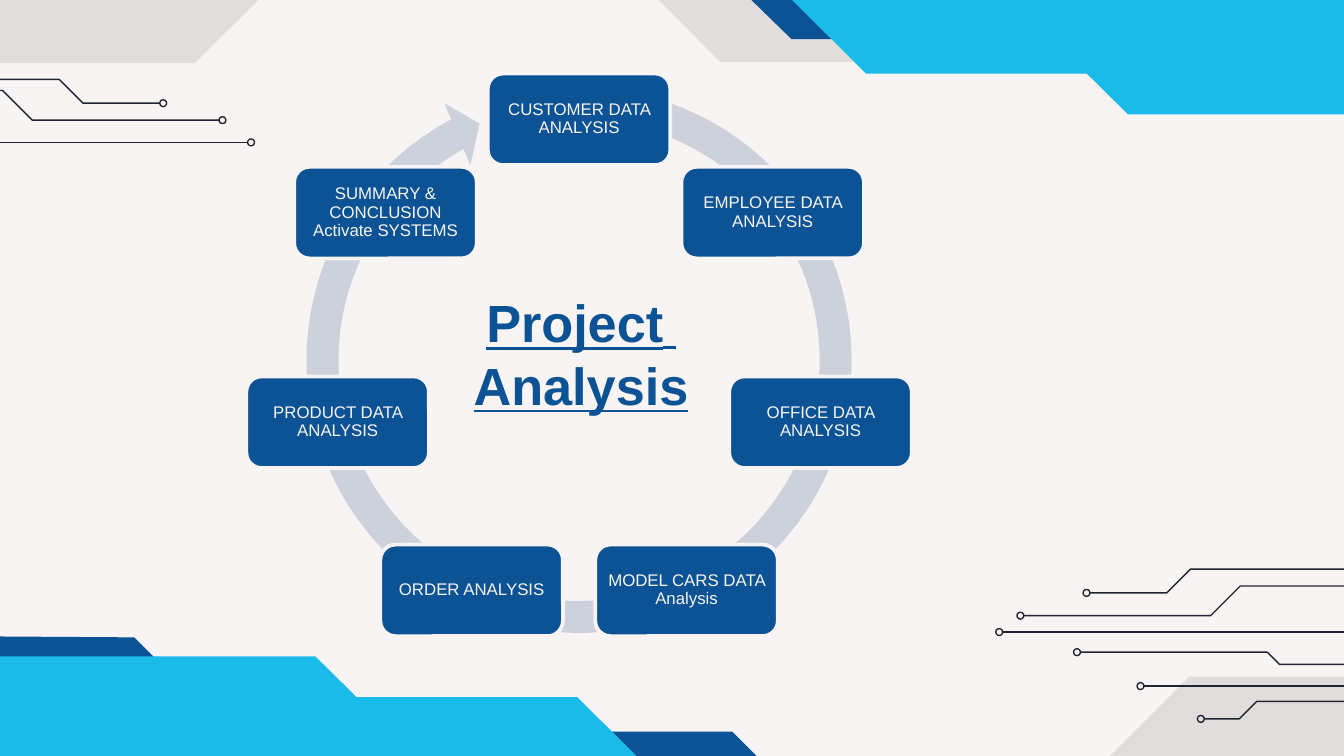
from math import cos, pi, sin

from lxml.etree import SubElement
from pptx import Presentation
from pptx.dml.color import RGBColor
from pptx.enum.shapes import MSO_CONNECTOR, MSO_SHAPE
from pptx.enum.text import MSO_ANCHOR, PP_ALIGN
from pptx.oxml.ns import qn
from pptx.util import Cm, Pt

PAPER = RGBColor(0xF8, 0xF4, 0xF4)
BLACK = RGBColor(0x00, 0x00, 0x00)
NAVY = RGBColor(0x0B, 0x53, 0x94)
CYAN = RGBColor(0x1B, 0xBB, 0xE9)
INK = RGBColor(0x20, 0x23, 0x31)
RING = RGBColor(0xCC, 0xD1, 0xDC)

WIDTH, HEIGHT = 25.4, 14.28
PAD = 0.13
FONT = "Arial"

GREY_BANDS = [
    [(3.68, 1.19), (6.55, -1.65), (10.8, -1.65), (13.61, 1.17),
     (24.03, 1.17), (24.03, -4.11), (-1.78, -4.11), (-1.78, 1.19)],
    [(27.15, 12.78), (27.15, 17.88), (17.37, 17.88), (22.48, 12.78)],
]
NAVY_BANDS = [
    [(14.35, 14.33), (13.84, 13.82), (11.56, 13.82), (12.07, 14.33)],
    [(18.16, 0.74), (17.4, 0), (14.2, 0), (14.96, 0.74)],
    [(-2.03, 12.01), (2.54, 12.04), (3.02, 12.52), (-2.03, 12.5)],
]
CYAN_STEPS = [(0, 0), (5.96, 0), (6.74, 0.77), (10.91, 0.77),
              (12.4, 2.25), (14.2, 2.25), (14.2, 8.39), (0, 8.39)]

LONG_BEND = (3.53, -0.56, 3.78)
SHORT_BEND = (1.45, -0.45, 4.72)
STRAIGHT = (8.25, 0, 0)
LEFT_TRACES = [(4.14, 0.77, LONG_BEND), (4.68, 1.19, STRAIGHT),
               (3.02, 0.45, SHORT_BEND)]
RIGHT_TRACES = [(2.82, 2.26, (4.24, 0, 0)), (3.96, 2.88, (0.66, -0.33, 3.23)),
                (1.62, 1.62, (3.53, 0.23, 4.65)), (0.55, 0.93, LONG_BEND),
                (1.8, 0.5, SHORT_BEND), (0.15, 1.24, STRAIGHT)]

STAGES = ["CUSTOMER DATA ANALYSIS", "EMPLOYEE DATA ANALYSIS",
          "OFFICE DATA ANALYSIS", "MODEL CARS DATA Analysis",
          "ORDER ANALYSIS", "PRODUCT DATA ANALYSIS",
          "SUMMARY & CONCLUSION Activate SYSTEMS"]


def outline(s, pts, close):
    pts = [(Cm(px), Cm(py)) for px, py in pts]
    fb = s.shapes.build_freeform(*pts[0])
    fb.add_line_segments(pts[1:], close=close)
    sp = fb.convert_to_shape()
    sp.shadow.inherit = False
    return sp


def band(s, pts, color, alpha=None):
    sp = outline(s, pts, True)
    sp.fill.solid()
    sp.fill.fore_color.rgb = color
    sp.line.fill.background()
    if alpha:
        clr = sp.fill._xPr.find(qn("a:solidFill"))[0]
        SubElement(clr, qn("a:alpha")).set("val", str(alpha * 1000))


def add_bands(s, x, y, w, h):
    for color, alpha, bands in [(BLACK, 9, GREY_BANDS), (NAVY, None, NAVY_BANDS)]:
        for pts in bands:
            band(s, [(x + px, y + py) for px, py in pts], color, alpha)
    for left, top, sign in [(x + w + 1.88, y + 2.16, -1), (x, y + h - 1.88, 1)]:
        band(s, [(left + sign * px, top + sign * py) for px, py in CYAN_STEPS], CYAN)


def ink_line(sp):
    sp.line.color.rgb = INK
    sp.line.width = Pt(0.75)


def add_circuit(s, x, y, traces, sign):
    for px, py, (run, rise, tail) in traces:
        px, py = x + px, y + py
        knee = px + sign * run
        if rise:
            bend = knee + sign * abs(rise)
            sp = outline(s, [(px, py), (knee, py), (bend, py + rise),
                             (bend + sign * tail, py + rise)], False)
            sp.fill.background()
        else:
            sp = s.shapes.add_connector(MSO_CONNECTOR.STRAIGHT, Cm(knee), Cm(py),
                                        Cm(px), Cm(py))
            SubElement(sp._element.spPr, qn("a:effectLst"))
        ink_line(sp)
        pad = s.shapes.add_shape(MSO_SHAPE.OVAL, Cm(px - (1 + sign) * PAD / 2),
                                 Cm(py - PAD / 2), Cm(PAD), Cm(PAD))
        pad.shadow.inherit = False
        pad.fill.background()
        ink_line(pad)


def add_stage(s, x, y, w, h, text):
    sp = s.shapes.add_shape(MSO_SHAPE.ROUNDED_RECTANGLE, Cm(x), Cm(y), Cm(w), Cm(h))
    sp.shadow.inherit = False
    sp.fill.solid()
    sp.fill.fore_color.rgb = NAVY
    sp.line.color.rgb = PAPER
    sp.line.width = Pt(2)
    tf = sp.text_frame
    tf.word_wrap = True
    tf.vertical_anchor = MSO_ANCHOR.MIDDLE
    tf.margin_left = tf.margin_right = tf.margin_top = tf.margin_bottom = Cm(0.09)
    p = tf.paragraphs[0]
    p.text = text
    p.alignment = PP_ALIGN.CENTER
    p.line_spacing = 0.9
    p.font.name = FONT
    p.font.size = Pt(9)
    p.font.color.rgb = PAPER


def add_cycle(s, x, y, d):
    ring = s.shapes.add_shape(MSO_SHAPE.CIRCULAR_ARROW, Cm(x), Cm(y), Cm(d), Cm(d))
    ring.shadow.inherit = False
    ring.fill.solid()
    ring.fill.fore_color.rgb = RING
    ring.line.fill.background()
    for i, value in enumerate([0.055, 3.307, 145.008, 169.588, 0.058]):
        ring.adjustments[i] = value
    w, h, radius = 3.45, 1.73, 4.68
    cx, cy = x + d / 2, y + d / 2 + 0.13
    for i, text in enumerate(STAGES):
        angle = 2 * pi * i / len(STAGES)
        add_stage(s, cx + radius * sin(angle) - w / 2,
                  cy - radius * cos(angle) - h / 2, w, h, text)


def add_title(s, x, y, w, h):
    tf = s.shapes.add_textbox(Cm(x), Cm(y), Cm(w), Cm(h)).text_frame
    tf.word_wrap = True
    first, second = tf.paragraphs[0], tf.add_paragraph()
    first.add_run().text = "Project"
    r = first.add_run()
    r.text = " "
    r.font.size = Pt(24)
    second.add_run().text = "Analysis"
    for p in (first, second):
        p.alignment = PP_ALIGN.CENTER
        p.font.name = FONT
        p.font.size = Pt(28)
        p.font.bold = True
        p.font.underline = True
        p.font.color.rgb = NAVY


def main():
    prs = Presentation()
    prs.slide_width, prs.slide_height = Cm(WIDTH), Cm(HEIGHT)
    s = prs.slides.add_slide(prs.slide_layouts[6])
    s.background.fill.solid()
    s.background.fill.fore_color.rgb = PAPER
    add_bands(s, 0, 0, WIDTH, HEIGHT)
    add_circuit(s, 0, 1.5, LEFT_TRACES, -1)
    add_circuit(s, 18.8, 10.7, RIGHT_TRACES, 1)
    add_cycle(s, 5.46, 1.32, 10.97)
    add_title(s, 8.2, 5.36, 5.56, 2.64)
    prs.save("out.pptx")


if __name__ == "__main__":
    main()
